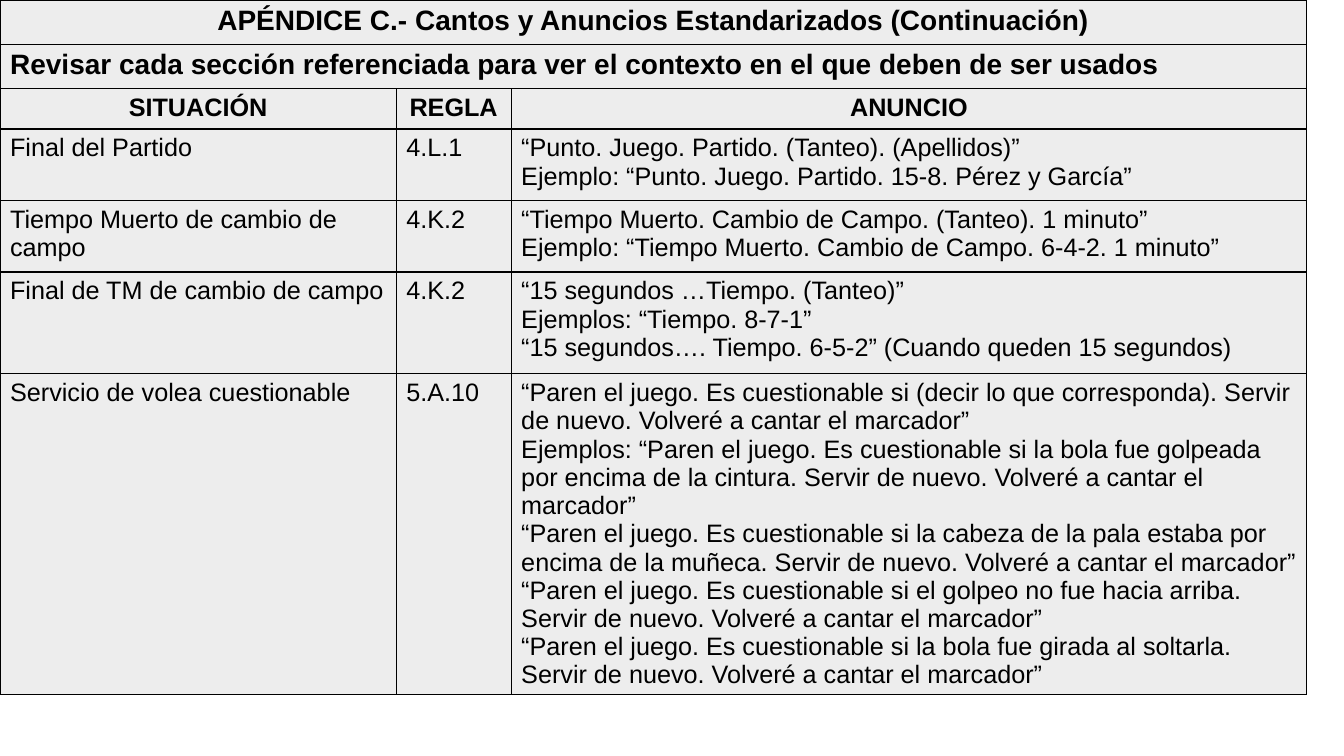
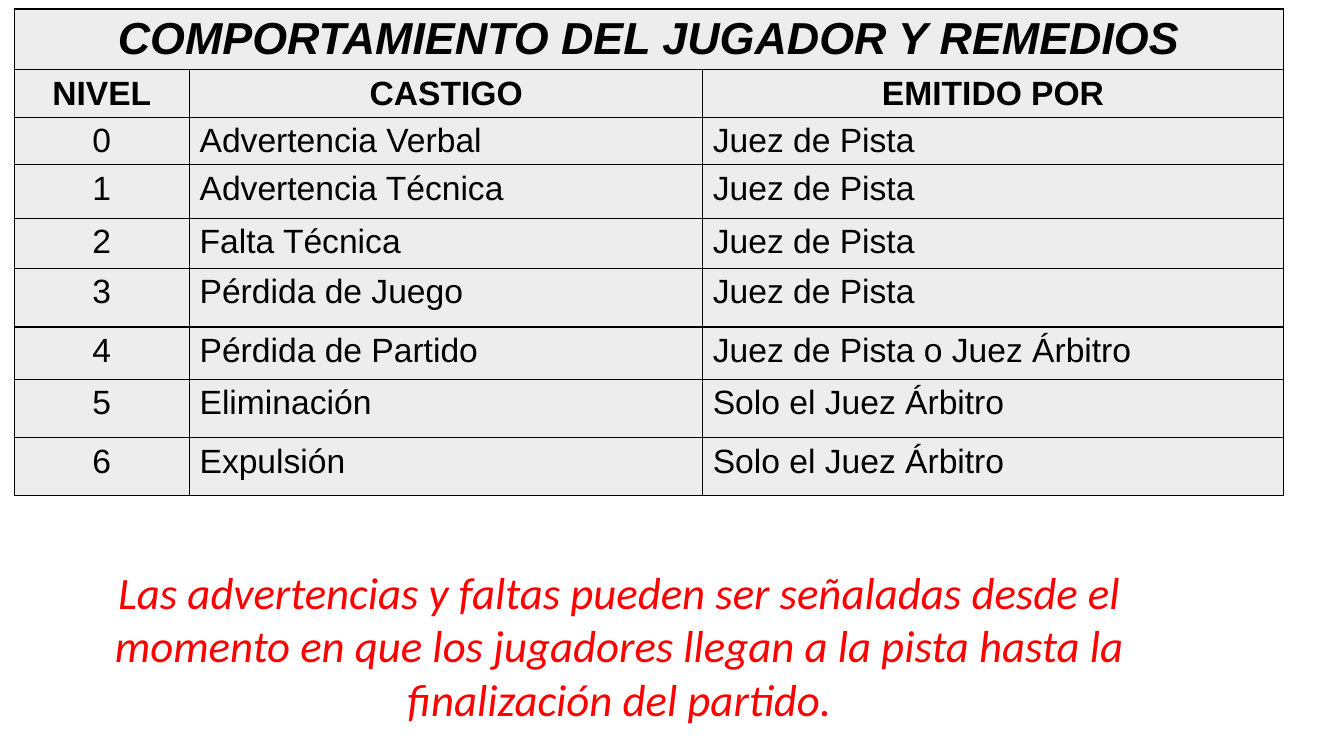
from pptx import Presentation
from pptx.dml.color import RGBColor
from pptx.enum import text
from pptx.oxml import parse_xml
from pptx.oxml import ns
from pptx.util import Inches, Pt

BLACK = RGBColor(0x00, 0x00, 0x00)
RED = RGBColor(0xFF, 0x00, 0x00)
GRAY = RGBColor(0xED, 0xED, 0xED)
LEFT, CENTER = text.PP_ALIGN.LEFT, text.PP_ALIGN.CENTER

CALLS = [
    ("Final del Partido", "4.L.1", [
        "“Punto. Juego. Partido. (Tanteo). (Apellidos)”",
        "Ejemplo: “Punto. Juego. Partido. 15-8. Pérez y García”"]),
    ("Tiempo Muerto de cambio de campo", "4.K.2", [
        "“Tiempo Muerto. Cambio de Campo. (Tanteo). 1 minuto”",
        "Ejemplo: “Tiempo Muerto. Cambio de Campo. 6-4-2. 1 minuto”"]),
    ("Final de TM de cambio de campo", "4.K.2", [
        "“15 segundos …Tiempo. (Tanteo)”",
        "Ejemplos: “Tiempo. 8-7-1”",
        "“15 segundos…. Tiempo. 6-5-2” (Cuando queden 15 segundos)"]),
    ("Servicio de volea cuestionable", "5.A.10", [
        "“Paren el juego. Es cuestionable si (decir lo que corresponda). "
        "Servir de nuevo. Volveré a cantar el marcador”",
        "Ejemplos: “Paren el juego. Es cuestionable si la bola fue golpeada por "
        "encima de la cintura. Servir de nuevo. Volveré a cantar el marcador”",
        "“Paren el juego. Es cuestionable si la cabeza de la pala estaba por "
        "encima de la muñeca. Servir de nuevo. Volveré a cantar el marcador”",
        "“Paren el juego. Es cuestionable si el golpeo no fue hacia arriba. "
        "Servir de nuevo. Volveré a cantar el marcador”",
        "“Paren el juego. Es cuestionable si la bola fue girada al soltarla. "
        "Servir de nuevo. Volveré a cantar el marcador”"]),
]

PENALTIES = [
    ("Advertencia Verbal", "Juez de Pista"),
    ("Advertencia Técnica", "Juez de Pista"),
    ("Falta Técnica", "Juez de Pista"),
    ("Pérdida de Juego", "Juez de Pista"),
    ("Pérdida de Partido", "Juez de Pista o Juez Árbitro"),
    ("Eliminación", "Solo el Juez Árbitro"),
    ("Expulsión", "Solo el Juez Árbitro"),
]


def write(tf, content, size=18, font="Arial", color=BLACK, bold=False,
          italic=False, align=LEFT):
    lines = [content] if isinstance(content, str) else content
    for i, line in enumerate(lines):
        p = tf.paragraphs[0] if i == 0 else tf.add_paragraph()
        p.alignment = align
        r = p.add_run()
        r.text = line
        r.font.size = Pt(size)
        r.font.name = font
        r.font.color.rgb = color
        r.font.bold = bold
        r.font.italic = italic


def add_borders(cell):
    pr = cell._tc.get_or_add_tcPr()
    for i, side in enumerate(("lnL", "lnR", "lnT", "lnB")):
        pr.insert(i, parse_xml(
            f'<a:{side} {ns.nsdecls("a")} w="{Pt(1)}"><a:solidFill>'
            f'<a:srgbClr val="{BLACK}"/></a:solidFill></a:{side}>'))


def add_grid(s, left, top, widths, heights):
    table = s.shapes.add_table(
        len(heights), len(widths), Inches(left), Inches(top),
        Inches(sum(widths)), Inches(sum(heights))).table
    for column, width in zip(table.columns, widths):
        column.width = Inches(width)
    for row, height in zip(table.rows, heights):
        row.height = Inches(height)
    for cell in table.iter_cells():
        cell.fill.solid()
        cell.fill.fore_color.rgb = GRAY
        add_borders(cell)
    return table


def write_banner(table, row, content, **style):
    first = table.cell(row, 0)
    first.merge(table.cell(row, len(table.columns) - 1))
    write(first.text_frame, content, bold=True, **style)


def write_row(table, row, values, aligns=(LEFT, LEFT, LEFT), **style):
    for column, (value, align) in enumerate(zip(values, aligns)):
        write(table.cell(row, column).text_frame, value, align=align, **style)


def write_header(table, row, values, **style):
    write_row(table, row, values, [CENTER] * len(values), bold=True, **style)


def add_note(s, left, top, width, height, content, **style):
    tf = s.shapes.add_textbox(
        Inches(left), Inches(top), Inches(width), Inches(height)).text_frame
    tf.word_wrap = True
    write(tf, content, **style)


def build_calls(s):
    table = add_grid(s, 0, 0, [3.93, 1.14, 7.89],
                     [0.44, 0.44, 0.4, 0.71, 0.71, 1.01, 3.17])
    write_banner(
        table, 0, "APÉNDICE C.- Cantos y Anuncios Estandarizados (Continuación)",
        size=20, align=CENTER)
    write_banner(
        table, 1, "Revisar cada sección referenciada para ver el contexto en el "
        "que deben de ser usados", size=20)
    write_header(table, 2, ("SITUACIÓN", "REGLA", "ANUNCIO"))
    for row, values in enumerate(CALLS, 3):
        write_row(table, row, values)


def build_penalties(s):
    table = add_grid(s, 0.14, 0.09, [1.74, 5.09, 5.76],
                     [0.6, 0.47, 0.47, 0.53, 0.5, 0.58, 0.52, 0.58, 0.57])
    write_banner(table, 0, "COMPORTAMIENTO DEL JUGADOR Y REMEDIOS",
                 size=32, italic=True, align=CENTER)
    write_header(table, 1, ("NIVEL", "CASTIGO", "EMITIDO POR"), size=24)
    for level, values in enumerate(PENALTIES):
        write_row(table, level + 2, (str(level), *values),
                  (CENTER, LEFT, LEFT), size=24)
    add_note(s, 0.17, 5.55, 11.95, 1.72,
             "Las advertencias y faltas pueden ser señaladas desde el momento en "
             "que los jugadores llegan a la pista hasta la finalización del partido.",
             size=32, font="Calibri", color=RED, italic=True, align=CENTER)


def main():
    prs = Presentation()
    prs.slide_width, prs.slide_height = Inches(13.33), Inches(7.5)
    for build in (build_calls, build_penalties):
        build(prs.slides.add_slide(prs.slide_layouts[6]))
    prs.save("out.pptx")


if __name__ == "__main__":
    main()
